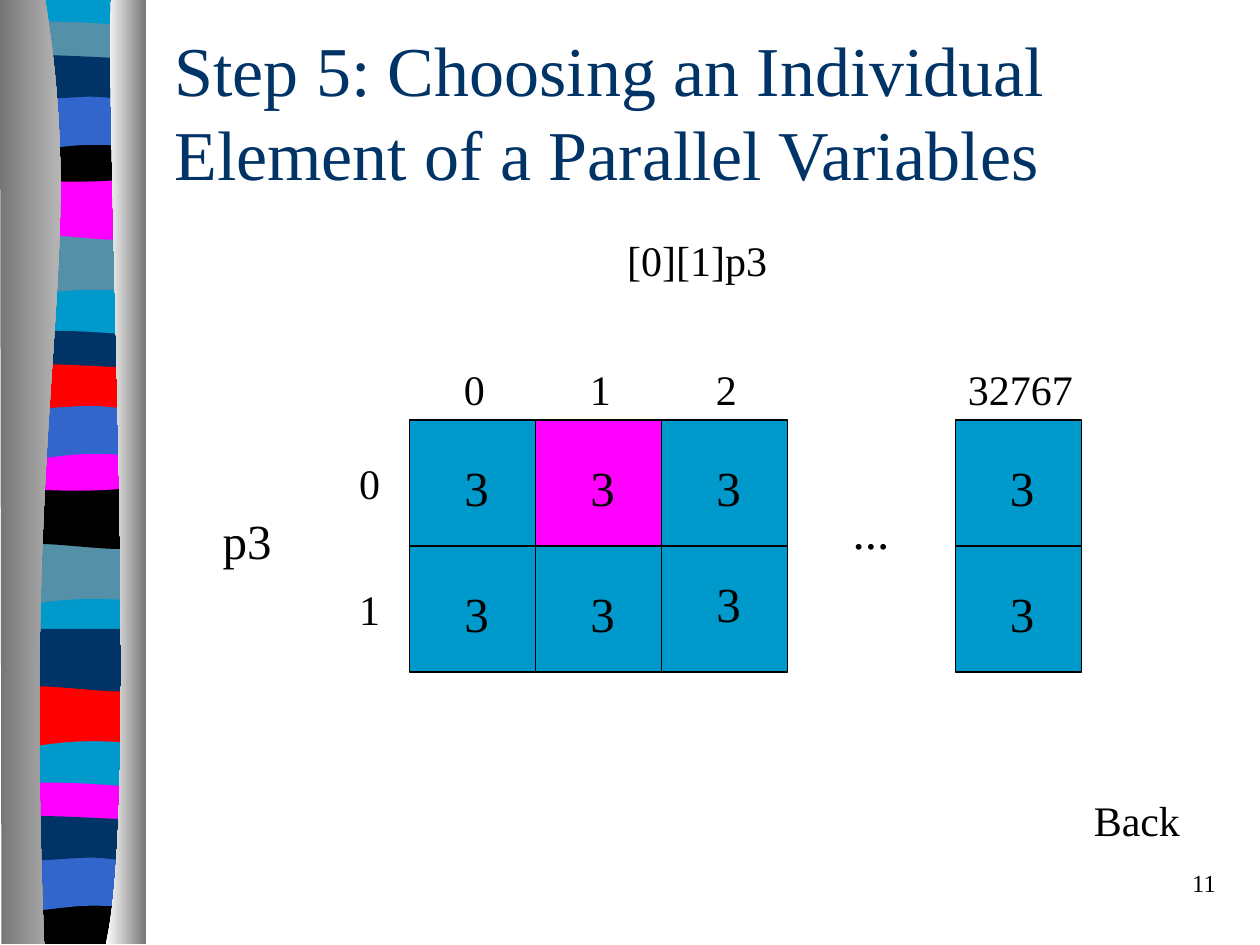
from dataclasses import dataclass

import pptx
import pptx.dml.color
import pptx.enum.shapes
import pptx.enum.text
import pptx.oxml.ns
import pptx.util

Cm = pptx.util.Cm
ALIGN = pptx.enum.text.PP_ALIGN
qn = pptx.oxml.ns.qn


@dataclass(frozen=True)
class Theme:
    font: str = "Times New Roman"
    navy: str = "003366"
    cyan: str = "0099CC"
    teal: str = "5490A8"
    blue: str = "3366CC"
    magenta: str = "FF00FF"
    red: str = "FF0000"
    black: str = "000000"
    white: str = "FFFFFF"
    grey: str = "767676"
    light: str = "D6D6D6"
    title_size: int = 40
    value_size: int = 28
    label_size: int = 24
    number_size: int = 14


T = Theme()

# Outlines: a pair is a corner, six numbers are a cubic curve
BAND_W = 2.74
WAVE = [(BAND_W, 0), (BAND_W, 1.19), (0.84, 0.99, 0.46, 1.4, 0, 1.19), (0, 0)]
SWELL = [(BAND_W, 0), (BAND_W, 1.19), (2.29, 1.4, 0.84, 1.04, 0, 1.19), (0, 0)]
THIN = [(BAND_W, 0.13), (BAND_W, 0.74), (2.29, 0.84, 0.46, 0.84, 0, 0.74),
        (0, 0.13), (0.15, 0, 0.58, 0.03, 1.04, 0.03),
        (1.5, 0.03, 2.39, 0.1, BAND_W, 0.13)]
CUP = [(BAND_W, 0), (BAND_W, 0.81), (2.29, 0.96, 0.46, 0.96, 0, 0.81),
       (0, 0), (1.68, 0.13, 2.16, 0, BAND_W, 0)]
FLOOR = [(BAND_W, 0), (BAND_W, 0.95), (0, 0.95), (0, 0),
         (1.68, 0.13, 2.16, 0, BAND_W, 0)]
ARCH = [(BAND_W, 0), (BAND_W, 1.19), (2.31, 1.04, 2.13, 1.04, 1.68, 1.04),
        (1.22, 1.04, 0.41, 1.19, 0, 1.19), (0, 0)]
DRIFT = [(BAND_W, 0.13), (BAND_W, 0.91), (2.57, 1.04, 2.13, 0.91, 1.68, 0.91),
         (1.22, 0.91, 0.28, 1.04, 0, 0.91), (0, 0.13),
         (0.38, 0, 1.85, 0.13, 2.31, 0.13),
         (2.77, 0.13, 2.65, 0.13, BAND_W, 0.13)]

# Each group of bands: its offset, then outline, top within group and colour
BAND_GROUPS = [
    (0, [(WAVE, 4.71, T.teal), (SWELL, 3.58, T.magenta),
         (THIN, 0.41, T.teal), (CUP, 2.74, T.black),
         (ARCH, 1.88, T.blue), (DRIFT, 1.04, T.navy)]),
    (6.23, [(WAVE, 4.71, T.teal), (SWELL, 3.58, T.black),
            (THIN, 0.41, T.navy), (CUP, 2.74, T.magenta),
            (ARCH, 1.88, T.blue), (DRIFT, 1.04, T.red)]),
    (9.1, [(WAVE, 4.71, T.red), (SWELL, 3.58, T.navy)]),
    (15.34, [(THIN, 0.41, T.magenta), (FLOOR, 2.74, T.black),
             (ARCH, 1.88, T.blue), (DRIFT, 1.04, T.navy)]),
]


def rgb(value):
    return pptx.dml.color.RGBColor.from_string(value)


def format_text(tf, size, color, align=ALIGN.LEFT):
    tf.word_wrap = True
    p = tf.paragraphs[0]
    p.alignment = align
    font = p.runs[0].font
    font.name, font.size = T.font, pptx.util.Pt(size)
    font.color.rgb = rgb(color)


def add_text(s, text, x, y, w, h, size, align=ALIGN.LEFT, inset=0.13):
    tf = s.shapes.add_textbox(Cm(x), Cm(y), Cm(w), Cm(h)).text_frame
    tf.margin_top = Cm(inset)
    tf.text = text
    format_text(tf, size, T.black, align)


def add_outline(s, x, y, outline):
    """Closed freeform; its six-number parts become cubic curves."""
    points = [(Cm(x + part[i]), Cm(y + part[i + 1]))
              for part in outline for i in range(0, len(part), 2)]
    builder = s.shapes.build_freeform(*points[0])
    builder.add_line_segments(points[1:], close=True)
    sp = builder.convert_to_shape()
    segments = iter(list(sp.element.iter(qn("a:lnTo"))))
    for part in outline[1:]:
        segment = next(segments)
        if len(part) == 6:
            segment.tag = qn("a:cubicBezTo")
            for extra in (next(segments), next(segments)):
                segment.append(extra[0])
                extra.getparent().remove(extra)
    sp.shadow.inherit = False
    sp.line.fill.background()
    return sp


def add_band(s, x, y, outline, color):
    fill = add_outline(s, x, y, outline).fill
    fill.solid()
    fill.fore_color.rgb = rgb(color)


def add_side_panel(s, x, y, outline, start, end):
    fill = add_outline(s, x, y, outline).fill
    fill.gradient()
    fill.gradient_angle = 0
    for stop, color in zip(fill.gradient_stops, (start, end)):
        stop.color.rgb = rgb(color)


def add_ribbon(s, x, y, w, h):
    """Striped ribbon between two curved grey side panels."""
    left = x + 0.14
    add_band(s, left, y, [(BAND_W, 0), (BAND_W, h), (0, h), (0, 0)], T.cyan)
    for offset, bands in BAND_GROUPS:
        for outline, top, color in bands:
            add_band(s, left, y + offset + top, outline, color)
    add_side_panel(s, x, y, [(0.91, 0), (1.8, 5.5, 0.43, 7.5, 0.89, h),
                             (0.03, h), (0, 0)], T.grey, T.light)
    add_side_panel(s, x, y, [(2.24, 0), (2.13, 3.2, 2.82, 16.4, 2.13, h),
                             (w, h), (w, 0)], T.white, T.grey)


def add_title(s, text, x, y, w, h):
    sp = s.shapes.title
    sp.left, sp.top, sp.width, sp.height = Cm(x), Cm(y), Cm(w), Cm(h)
    tf = sp.text_frame
    tf.text = text
    tf.auto_size = pptx.enum.text.MSO_AUTO_SIZE.NONE
    tf.vertical_anchor = pptx.enum.text.MSO_ANCHOR.MIDDLE
    format_text(tf, T.title_size, T.navy)


def add_cell(s, x, y, side, color):
    sp = s.shapes.add_shape(pptx.enum.shapes.MSO_SHAPE.RECTANGLE,
                            Cm(x), Cm(y), Cm(side), Cm(side))
    sp.shadow.inherit = False
    sp.fill.solid()
    sp.fill.fore_color.rgb = rgb(color)
    sp.line.color.rgb = rgb(T.black)
    sp.line.width = pptx.util.Pt(0.75)


def add_parallel_variable(s, x, y, cell=2.54):
    """Two-row grid whose first cell has its corner at x, y."""
    columns = [("0", 0), ("1", cell), ("2", 2 * cell), ("32767", 11)]
    chosen = (0, "1")
    for name, dx in columns:
        wide = len(name) > 1
        add_text(s, name, x + dx + (0 if wide else 0.84), y - 1.27,
                 2.75 if wide else 0.85, 1.27, T.label_size)
        for row in range(2):
            top = y + row * cell
            color = T.magenta if (row, name) == chosen else T.cyan
            add_cell(s, x + dx, top, cell, color)
            rise = 0.2 if (row, name) == (1, "2") else 0
            add_text(s, "3", x + dx + 0.85, top + 0.62 - rise, 1.06, 1.44,
                     T.value_size)
    for row in range(2):
        add_text(s, str(row), x - 1.27, y + row * cell + 0.62, 0.85, 1.27,
                 T.label_size)
    add_text(s, "p3", x - 4.02, y + 1.69, 1.69, 1.44, T.value_size)
    add_text(s, "...", x + 8.68, y + 1.48, 1.27, 1.44, T.value_size)


def main():
    prs = pptx.Presentation()
    prs.slide_width, prs.slide_height = Cm(25.4), Cm(19.05)
    s = prs.slides.add_slide(prs.slide_layouts[5])
    add_ribbon(s, 0, 0, 2.95, 19.03)
    add_title(s, "Step 5: Choosing an Individual Element of a Parallel "
              "Variables", 3.26, 1.27, 21.59, 1.9)
    add_text(s, "[0][1]p3", 3.26, 3.18, 21.59, 13.76, T.label_size,
             ALIGN.CENTER, inset=1.54)
    add_parallel_variable(s, 8.26, 8.47)
    add_text(s, "Back", 21.8, 15.88, 2.54, 1.27, T.label_size)
    add_text(s, "11", 19.47, 17.36, 5.29, 1.27, T.number_size, ALIGN.RIGHT)
    prs.save("out.pptx")


if __name__ == "__main__":
    main()
